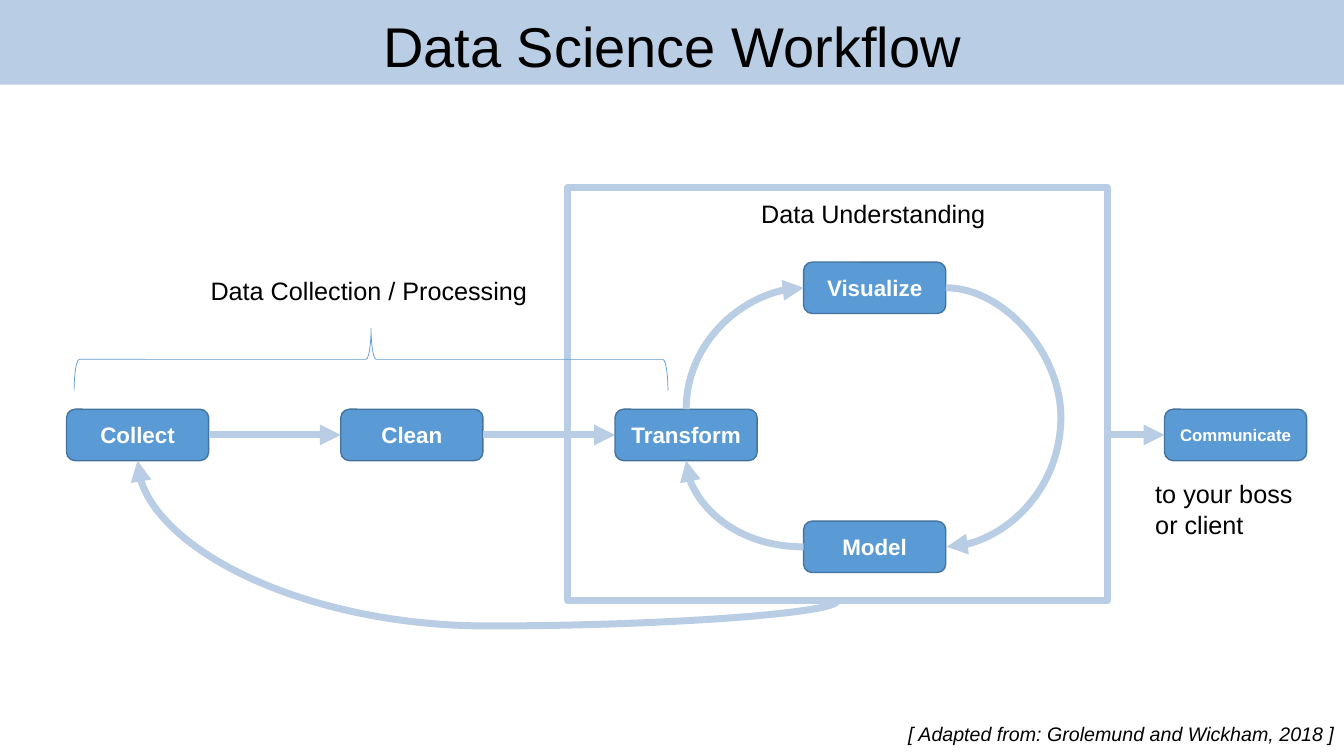
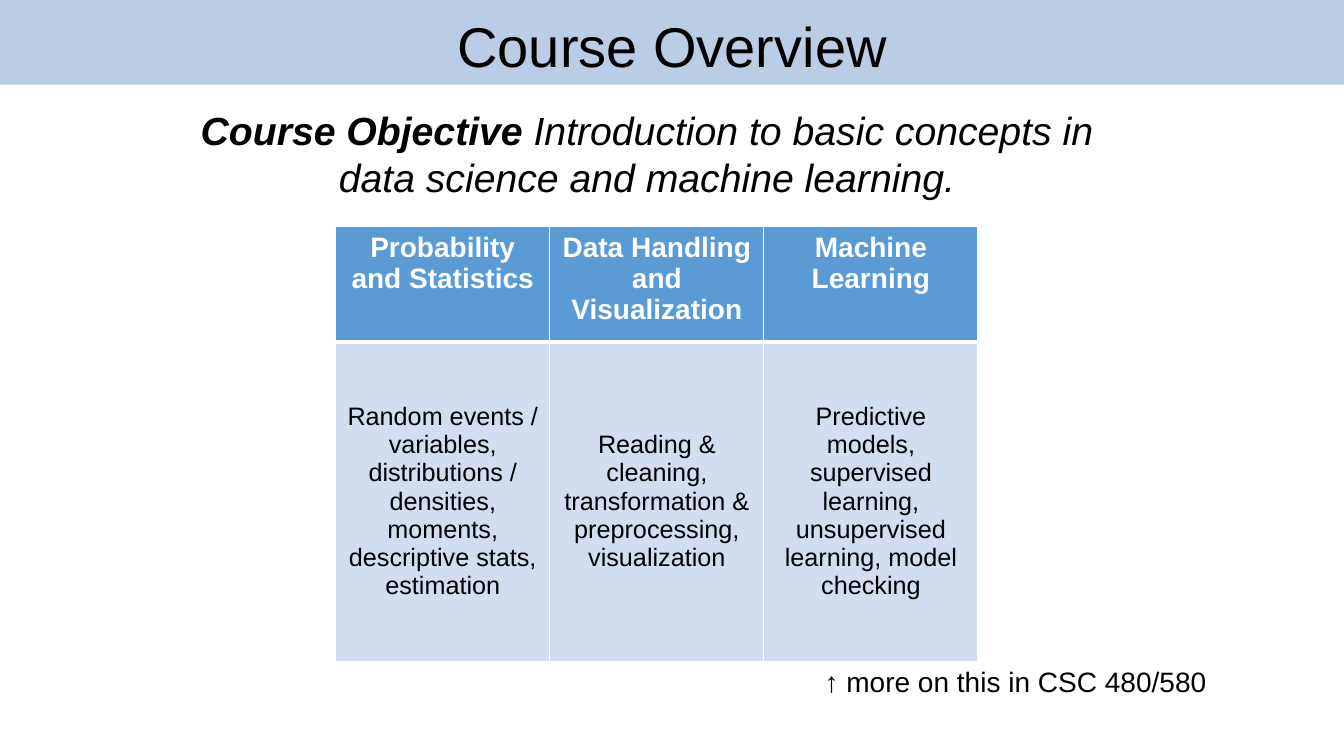
from lxml import etree
from pptx import Presentation
from pptx.dml.color import RGBColor
from pptx.enum.shapes import MSO_CONNECTOR, MSO_SHAPE
from pptx.enum.text import MSO_ANCHOR, PP_ALIGN
from pptx.oxml.ns import qn
from pptx.util import Emu, Inches, Pt

RECT, ROUNDED, BRACE = MSO_SHAPE.RECTANGLE, MSO_SHAPE.ROUNDED_RECTANGLE, MSO_SHAPE.RIGHT_BRACE
STRAIGHT, CURVE = MSO_CONNECTOR.STRAIGHT, MSO_CONNECTOR.CURVE
LEFT, CENTER = PP_ALIGN.LEFT, PP_ALIGN.CENTER
TOP_ANCHOR, MIDDLE, BOTTOM_ANCHOR = MSO_ANCHOR.TOP, MSO_ANCHOR.MIDDLE, MSO_ANCHOR.BOTTOM
TOP, LEFT_SIDE, BOTTOM, RIGHT_SIDE = range(4)  # connection sites of a box

FONT = "Arial"
BLACK, WHITE = "000000", "FFFFFF"
PALE, BLUE, EDGE, CELL = "B9CDE5", "5B9BD5", "43739E", "D2DEEF"
SLIDE_W, SLIDE_H, BAND_H = 13.33, 7.5, 0.84

# Workflow slide
STEP_W, STEP_H = 1.41, 0.51
STEPS = {  # name: (left, top, text size)
    "Collect": (0.66, 4.06, 16),
    "Clean": (3.38, 4.06, 16),
    "Transform": (6.1, 4.06, 16),
    "Visualize": (7.97, 2.6, 16),
    "Model": (7.97, 5.17, 16),
    "Communicate": (11.55, 4.06, 12),
}
FRAME = "Data Understanding"
FRAME_AT = (5.63, 1.86, 5.35, 4.1)
BRACE_AT = (3.37, 0.62, 0.62, 5.89)
STRAIGHT_ARROWS = [("Collect", "Clean"), ("Clean", "Transform"), (FRAME, "Communicate")]
CURVED_ARROWS = [  # from, site, to, site, preset, rotation, flips, bend
    ("Transform", TOP, "Visualize", LEFT_SIDE, "curvedConnector2", 90, "HV", None),
    ("Model", LEFT_SIDE, "Transform", BOTTOM, "curvedConnector2", 180, "", None),
    ("Visualize", RIGHT_SIDE, "Model", RIGHT_SIDE, "curvedConnector3", 0, "", 116),
    (FRAME, BOTTOM, "Collect", BOTTOM, "curvedConnector3", 90, "H", -0.18),
]
WORKFLOW_LABELS = [  # text, box, size, italic, wrap
    (FRAME, (7.45, 1.92, 2.45, 0.4), 18, False, False),
    ("Data Collection / Processing", (1.99, 2.68, 3.37, 0.4), 18, False, False),
    ("[ Adapted from: Grolemund and Wickham, 2018 ]", (8.91, 7.11, 4.5, 0.34), 14, True, False),
    ("to your boss or client", (11.36, 4.7, 1.56, 1.01), 18, False, True),
]

# Overview slide
OBJECTIVE = ["Course Objective ",
             "Introduction to basic concepts in data science and machine learning."]
TOPICS = [
    ("Probability and Statistics",
     "Random events / variables, distributions / densities, moments, descriptive stats, estimation"),
    ("Data Handling and Visualization",
     "Reading & cleaning, transformation & preprocessing, visualization"),
    ("Machine Learning",
     "Predictive models, supervised learning, unsupervised learning, model checking"),
]
TABLE_AT = (3.33, 2.25, 6.37, 4.31)
ROW_HEIGHTS = (1.14, 3.17)
MORE = "↑ more on this in CSC 480/580"


def rgb(color):
    return RGBColor.from_string(color)


def inches(box):
    return [Inches(v) for v in box]


def style(run, size, color=BLACK, bold=False, italic=False):
    f = run.font
    f.name, f.size, f.bold, f.italic = FONT, Pt(size), bold, italic
    f.color.rgb = rgb(color)


def write(tf, text, size, color=BLACK, bold=False, italic=False, align=LEFT):
    tf.text = text
    p = tf.paragraphs[0]
    p.alignment = align
    style(p.runs[0], size, color, bold, italic)
    return p


def add_box(s, kind, box, fill=None, line=None, width=1):
    sp = s.shapes.add_shape(kind, *inches(box))
    sp.shadow.inherit = False
    if fill:
        sp.fill.solid()
        sp.fill.fore_color.rgb = rgb(fill)
    else:
        sp.fill.background()
    if line:
        sp.line.color.rgb = rgb(line)
        sp.line.width = Pt(width)
    else:
        sp.line.fill.background()
    return sp


def add_text(s, text, box, size, italic=False, wrap=False):
    tf = s.shapes.add_textbox(*inches(box)).text_frame
    tf.word_wrap = wrap
    write(tf, text, size, italic=italic)


def add_slide(prs, title):
    s = prs.slides.add_slide(prs.slide_layouts[6])
    tf = add_box(s, RECT, (0, 0, SLIDE_W, BAND_H), PALE).text_frame
    tf.vertical_anchor = BOTTOM_ANCHOR
    write(tf, title, 40, align=CENTER).line_spacing = 0.9
    return s


def add_arrow(s, kind):
    c = s.shapes.add_connector(kind, 0, 0, 0, 0)
    c.line.color.rgb = rgb(PALE)
    c.line.width = Pt(5)
    etree.SubElement(c.line._get_or_add_ln(), qn("a:tailEnd"), type="triangle")
    etree.SubElement(c._element.spPr, qn("a:effectLst"))
    return c


def add_straight(s, start, end):
    """Level arrow from the right edge of one box to the left edge of another."""
    c = add_arrow(s, STRAIGHT)
    c.end_connect(end, LEFT_SIDE)
    c.begin_x, c.begin_y = start.left + start.width, c.end_y


def add_curve(s, start, start_site, end, end_site, preset, rotation, flips, bend):
    """Curved arrow glued to two boxes; bend is a share of its unrotated width."""
    c = add_arrow(s, CURVE)
    c.begin_connect(start, start_site)
    c.end_connect(end, end_site)
    w, h = max(c.width, Inches(0.01)), c.height
    if rotation == 90:
        c.left, c.top = Emu(c.left + (w - h) // 2), Emu(c.top + (h - w) // 2)
        w, h = h, w
    c.width, c.height = Emu(w), Emu(h)
    xfrm = c._element.spPr.find(qn("a:xfrm"))
    xfrm.set("rot", str(rotation * 60000))
    for axis in "HV":
        xfrm.set("flip" + axis, str(int(axis in flips)))
    geom = c._element.spPr.find(qn("a:prstGeom"))
    geom.set("prst", preset)
    if bend is not None:
        guides = geom.find(qn("a:avLst"))
        if guides is None:
            guides = etree.SubElement(geom, qn("a:avLst"))
        etree.SubElement(guides, qn("a:gd"), name="adj1", fmla=f"val {round(bend * 100000)}")


def set_borders(cell, widths):
    """Draw white borders; widths are points for left, right, top, bottom."""
    tc_pr = cell._tc.get_or_add_tcPr()
    for i, (side, width) in enumerate(zip("LRTB", widths)):
        ln = etree.Element(qn("a:ln" + side), w=str(Pt(width)))
        fill = etree.SubElement(ln, qn("a:solidFill"))
        etree.SubElement(fill, qn("a:srgbClr"), val=WHITE)
        tc_pr.insert(i, ln)


def build_workflow(prs):
    s = add_slide(prs, "Data Science Workflow")
    boxes = {FRAME: add_box(s, RECT, FRAME_AT, line=PALE, width=5)}
    for name, (left, top, size) in STEPS.items():
        sp = add_box(s, ROUNDED, (left, top, STEP_W, STEP_H), BLUE, EDGE)
        sp.text_frame.vertical_anchor = MIDDLE
        write(sp.text_frame, name, size, WHITE, bold=True, align=CENTER)
        boxes[name] = sp
    for start, start_site, end, end_site, *bend in CURVED_ARROWS:
        add_curve(s, boxes[start], start_site, boxes[end], end_site, *bend)
    for start, end in STRAIGHT_ARROWS:
        add_straight(s, boxes[start], boxes[end])
    add_box(s, BRACE, BRACE_AT, line=BLUE, width=0.5).rotation = 270
    for label in WORKFLOW_LABELS:
        add_text(s, *label)


def build_overview(prs):
    s = add_slide(prs, "Course Overview")
    tf = s.shapes.add_textbox(*inches((1.57, 1.01, 9.69, 1.04))).text_frame
    tf.word_wrap = True
    p = write(tf, OBJECTIVE[0], 28, bold=True, italic=True, align=CENTER)
    r = p.add_run()
    r.text = OBJECTIVE[1]
    style(r, 28, italic=True)

    table = s.shapes.add_table(2, len(TOPICS), *inches(TABLE_AT)).table
    for row, height in zip(table.rows, ROW_HEIGHTS):
        row.height = Inches(height)
    row_styles = [  # fill, anchor, size, colour, bold, borders
        (BLUE, TOP_ANCHOR, 20, WHITE, True, (1, 1, 1, 3)),
        (CELL, MIDDLE, 18, BLACK, False, (1, 1, 3, 1)),
    ]
    for col, topic in enumerate(TOPICS):
        for row, (fill, anchor, size, color, bold, borders) in enumerate(row_styles):
            cell = table.cell(row, col)
            cell.fill.solid()
            cell.fill.fore_color.rgb = rgb(fill)
            cell.vertical_anchor = anchor
            write(cell.text_frame, topic[row], size, color, bold, align=CENTER)
            set_borders(cell, borders)
    add_text(s, MORE, (8.08, 6.54, 4.1, 0.44), 20)


def main():
    prs = Presentation()
    prs.slide_width, prs.slide_height = Inches(SLIDE_W), Inches(SLIDE_H)
    build_workflow(prs)
    build_overview(prs)
    prs.save("out.pptx")


if __name__ == "__main__":
    main()
